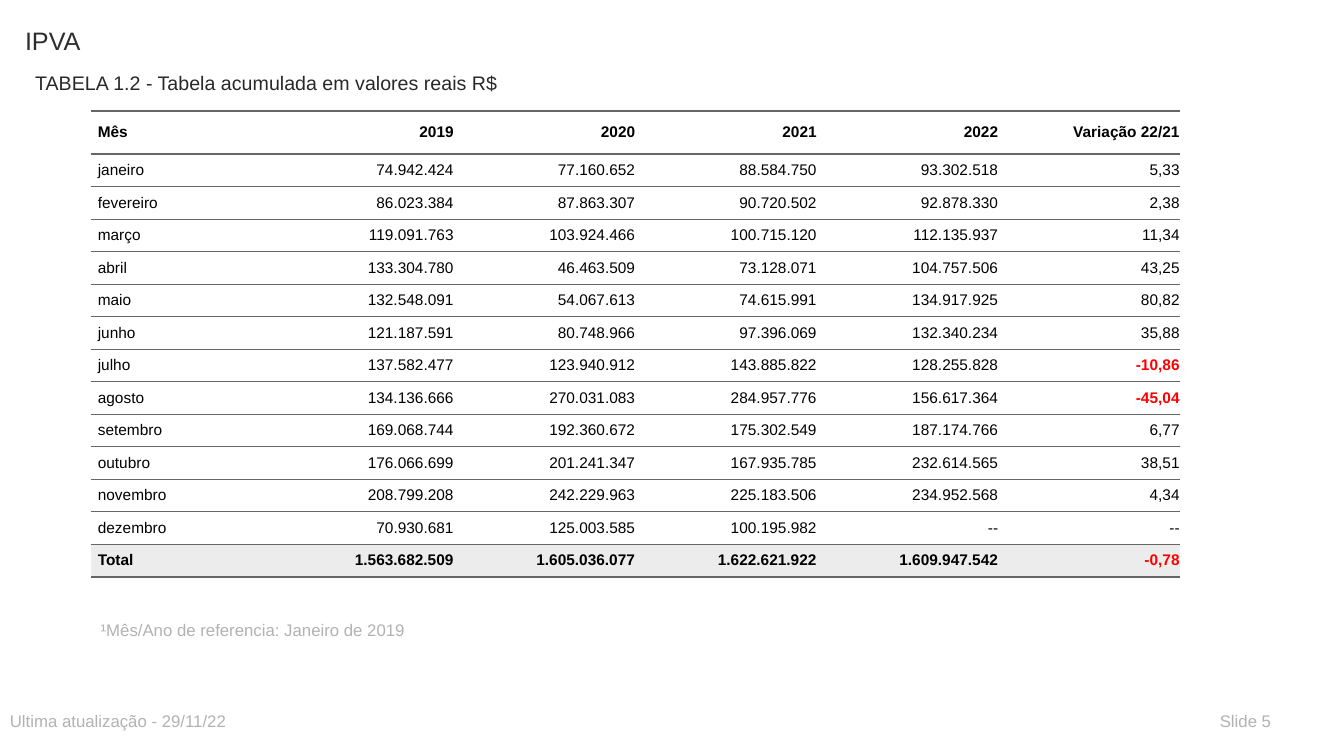
from lxml import etree
from pptx import Presentation
from pptx.dml.color import RGBColor
from pptx.enum import text
from pptx.oxml import ns
from pptx.util import Inches, Pt

COLORS = {"title": "2D2E2D", "subtitle": "292929", "note": "B2B2B2", "ink": "000000",
          "negative": "FF0000", "rule": "666666", "row": "FFFFFF", "total": "ECECEC"}

deck = Presentation()
deck.slide_width, deck.slide_height = Inches(13.33), Inches(7.5)
slide = deck.slides.add_slide(deck.slide_layouts[6])


def write(paragraph, wording, size, color, bold=False):
    run = paragraph.add_run()
    run.text = wording
    for name, value in {"name": "Arial", "size": Pt(size), "bold": bold}.items():
        setattr(run.font, name, value)
    run.font.color.rgb = RGBColor.from_string(COLORS[color])


def add_rule(cell, side, width):
    line = etree.SubElement(cell._tc.get_or_add_tcPr(), ns.qn(f"a:{side}"), w=str(Pt(width)))
    fill = etree.SubElement(line, ns.qn("a:solidFill"))
    etree.SubElement(fill, ns.qn("a:srgbClr"), val=COLORS["rule"])


captions = [
    ("IPVA", 0.15, 0.2, 8, 0.59, 18, "title"),
    ("TABELA 1.2 - Tabela acumulada em valores reais R$", 0.25, 0.65, 6.5, 0.3, 14, "subtitle"),
    ("¹Mês/Ano de referencia: Janeiro de 2019", 0.9, 6.1, 6.5, 0.3, 12, "note"),
    ("Ultima atualização - 29/11/22", 0, 7, 6.5, 0.3, 12, "note"),
    ("Slide 5", 12, 7, 0.9, 0.3, 12, "note"),
]
for wording, left, top, width, height, size, color in captions:
    caption = slide.shapes.add_textbox(Inches(left), Inches(top), Inches(width), Inches(height))
    caption.text_frame.word_wrap = True
    write(caption.text_frame.paragraphs[0], wording, size, color)

revenue = [
    ("Mês", "2019", "2020", "2021", "2022", "Variação 22/21"),
    ("janeiro", "74.942.424", "77.160.652", "88.584.750", "93.302.518", "5,33"),
    ("fevereiro", "86.023.384", "87.863.307", "90.720.502", "92.878.330", "2,38"),
    ("março", "119.091.763", "103.924.466", "100.715.120", "112.135.937", "11,34"),
    ("abril", "133.304.780", "46.463.509", "73.128.071", "104.757.506", "43,25"),
    ("maio", "132.548.091", "54.067.613", "74.615.991", "134.917.925", "80,82"),
    ("junho", "121.187.591", "80.748.966", "97.396.069", "132.340.234", "35,88"),
    ("julho", "137.582.477", "123.940.912", "143.885.822", "128.255.828", "-10,86"),
    ("agosto", "134.136.666", "270.031.083", "284.957.776", "156.617.364", "-45,04"),
    ("setembro", "169.068.744", "192.360.672", "175.302.549", "187.174.766", "6,77"),
    ("outubro", "176.066.699", "201.241.347", "167.935.785", "232.614.565", "38,51"),
    ("novembro", "208.799.208", "242.229.963", "225.183.506", "234.952.568", "4,34"),
    ("dezembro", "70.930.681", "125.003.585", "100.195.982", "--", "--"),
    ("Total", "1.563.682.509", "1.605.036.077", "1.622.621.922", "1.609.947.542", "-0,78"),
]
total_row = len(revenue) - 1
months = slide.shapes.add_table(len(revenue), len(revenue[0]), Inches(0.9), Inches(1.1),
                                Inches(10.8), Inches(3.68)).table
months.first_row = months.horz_banding = False
months._tbl.tblPr.find(ns.qn("a:tableStyleId")).text = "{2D5ABB26-0587-4C30-8999-92F81FD0307C}"
for column in months.columns:
    column.width = Inches(1.8)

cell_format = {"margin_left": 0, "margin_right": 0, "margin_top": Pt(5), "margin_bottom": Pt(5),
               "vertical_anchor": text.MSO_ANCHOR.MIDDLE}
for r, values in enumerate(revenue):
    months.rows[r].height = Inches(0.25 if r else 0.43)
    for c, value in enumerate(values):
        cell = months.cell(r, c)
        for name, setting in cell_format.items():
            setattr(cell, name, setting)
        add_rule(cell, "lnT", 2 if r < 2 else 0.5)
        add_rule(cell, "lnB", 2 if r in (0, total_row) else 0.5)
        cell.fill.solid()
        cell.fill.fore_color.rgb = RGBColor.from_string(COLORS["total" if r == total_row else "row"])
        paragraph = cell.text_frame.paragraphs[0]
        paragraph.alignment = text.PP_ALIGN.RIGHT if c else text.PP_ALIGN.LEFT
        paragraph.space_before = paragraph.space_after = Pt(5)
        paragraph._p.get_or_add_pPr().set("marL", str(Inches(0.07)))
        negative = value.startswith("-") and value != "--"
        write(paragraph, value, 11, "negative" if negative else "ink",
              bold=negative or r in (0, total_row))

deck.save("out.pptx")
